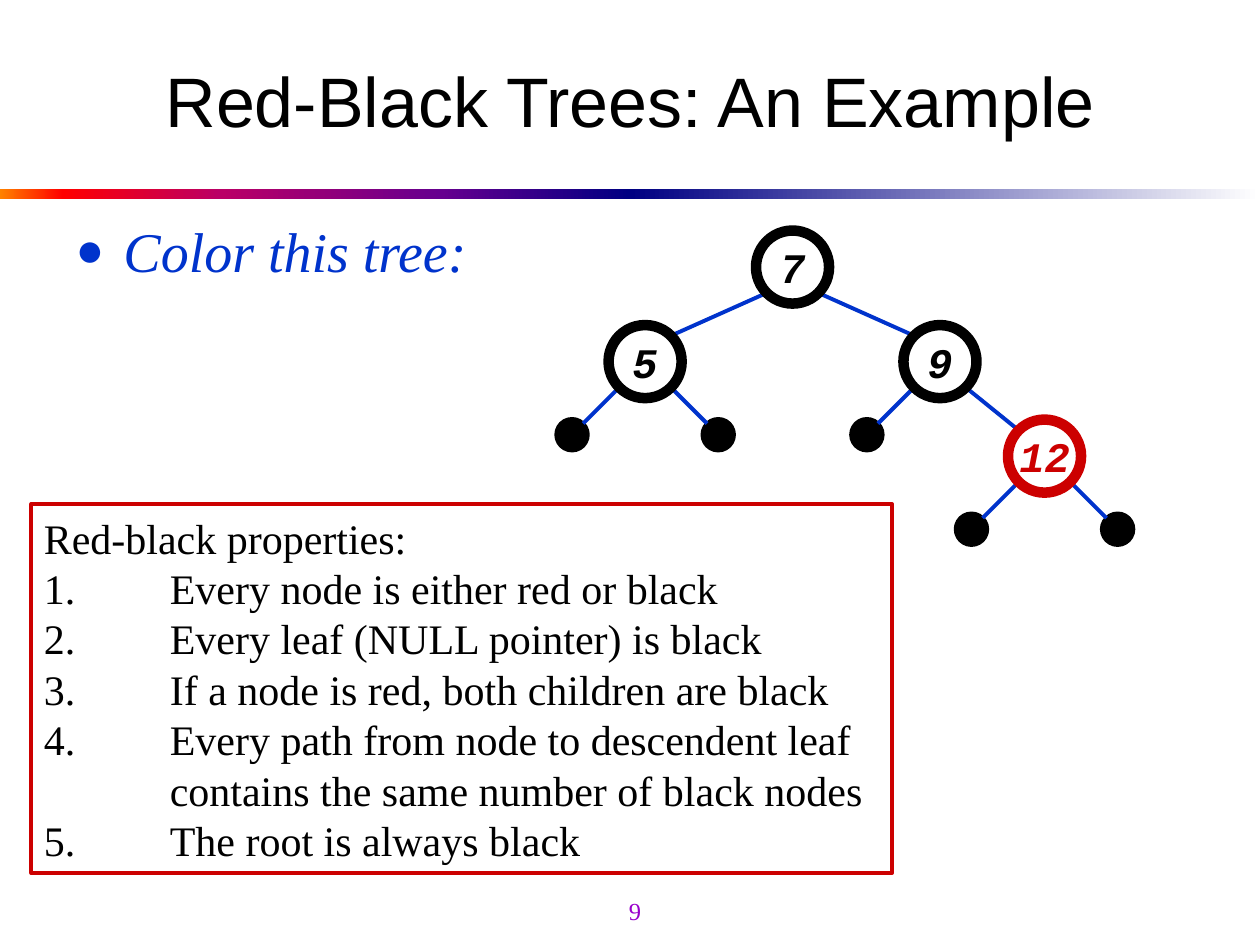
from math import sqrt

from lxml.etree import SubElement
from pptx import Presentation
from pptx.dml.color import RGBColor
from pptx.enum.shapes import MSO_CONNECTOR, MSO_SHAPE
from pptx.enum.text import MSO_ANCHOR, PP_ALIGN
from pptx.oxml.ns import qn
from pptx.util import Inches, Pt

BLACK = RGBColor(0x00, 0x00, 0x00)
WHITE = RGBColor(0xFF, 0xFF, 0xFF)
RED = RGBColor(0xCC, 0x00, 0x00)
BLUE = RGBColor(0x00, 0x33, 0xCC)
PURPLE = RGBColor(0x99, 0x00, 0xCC)
NAVY = RGBColor(0x00, 0x00, 0x82)
ORANGE = RGBColor(0xFF, 0x82, 0x00)
BRIGHT_RED = RGBColor(0xFF, 0x00, 0x00)
CRIMSON = RGBColor(0xBA, 0x00, 0x66)
VIOLET = RGBColor(0x66, 0x00, 0x8F)

SERIF = "Times New Roman"
NODE_SIZE = 0.58
LEAF_SIZE = 0.25
LEAF_OFFSET = 0.58

# key: (centre x and y within the tree's box, colour, left child, right child)
NODES = {
    "12": (3.87, 1.79, RED, None, None),
    "5": (0.7, 1.04, BLACK, None, None),
    "9": (3.04, 1.04, BLACK, None, "12"),
    "7": (1.87, 0.29, BLACK, "5", "9"),
}
PROPERTIES = [
    "Every node is either red or black",
    "Every leaf (NULL pointer) is black",
    "If a node is red, both children are black",
    "Every path from node to descendent leaf\vcontains the same number of black nodes",
    "The root is always black",
]


def place(shape, left, top, width, height):
    shape.left, shape.top = Inches(left), Inches(top)
    shape.width, shape.height = Inches(width), Inches(height)


def style_text(paragraph, font_name, size, color, bold=None, italic=None):
    for run in paragraph.runs:
        run.font.name = font_name
        run.font.size = Pt(size)
        run.font.color.rgb = color
        run.font.bold = bold
        run.font.italic = italic


def add_gradient_bar(slide, left, top, width, height, stops):
    """Draw a bar that fades left to right through (percent, colour) stops."""
    bar = slide.shapes.add_shape(
        MSO_SHAPE.RECTANGLE, Inches(left), Inches(top), Inches(width), Inches(height))
    bar.shadow.inherit = False
    bar.line.fill.background()
    bar.fill.gradient()
    bar.fill.gradient_angle = 0
    stop_list = bar._element.spPr.find(qn("a:gradFill")).find(qn("a:gsLst"))
    for old_stop in list(stop_list):
        stop_list.remove(old_stop)
    for percent, color in stops:
        stop = SubElement(stop_list, qn("a:gs"), pos=str(percent * 1000))
        SubElement(stop, qn("a:srgbClr"), val=str(color))


def add_divider(slide, left, top, width, height):
    half = width / 2
    add_gradient_bar(slide, left, top, half, height, [
        (0, ORANGE), (10, BRIGHT_RED), (35, CRIMSON), (70, VIOLET), (100, NAVY)])
    add_gradient_bar(slide, left + half, top, half, height, [(0, NAVY), (100, WHITE)])


def fill_title(slide, left, top, width, height):
    title = slide.shapes.title
    place(title, left, top, width, height)
    title.text_frame.text = "Red-Black Trees: An Example"
    title.text_frame.vertical_anchor = MSO_ANCHOR.MIDDLE
    heading = title.text_frame.paragraphs[0]
    heading.alignment = PP_ALIGN.CENTER
    style_text(heading, "Arial", 40, BLACK)


def fill_body(slide, left, top, width, height):
    body = slide.placeholders[1]
    place(body, left, top, width, height)
    body.text_frame.text = "Color this tree:"
    task = body.text_frame.paragraphs[0]
    props = task._p.get_or_add_pPr()
    props.set("marL", str(Inches(0.38)))
    props.set("indent", str(Inches(-0.38)))
    SubElement(SubElement(props, qn("a:buClr")), qn("a:srgbClr"), val=str(BLUE))
    SubElement(props, qn("a:buSzPct"), val="85000")
    SubElement(props, qn("a:buFont"), typeface=SERIF)
    SubElement(props, qn("a:buChar"), char="●")
    style_text(task, SERIF, 32, BLUE, italic=True)


def add_circle(slide, x, y, size, fill, outline, outline_width):
    circle = slide.shapes.add_shape(
        MSO_SHAPE.OVAL, Inches(x - size / 2), Inches(y - size / 2),
        Inches(size), Inches(size))
    circle.shadow.inherit = False
    circle.fill.solid()
    circle.fill.fore_color.rgb = fill
    circle.line.color.rgb = outline
    circle.line.width = Pt(outline_width)
    return circle


def add_edge(slide, parent, child, child_size, side):
    """Join the facing diagonal points of two circles; side is -1 left, 1 right."""
    start = NODE_SIZE / 2 / sqrt(2)
    end = child_size / 2 / sqrt(2)
    edge = slide.shapes.add_connector(
        MSO_CONNECTOR.STRAIGHT,
        Inches(parent[0] + side * start), Inches(parent[1] + start),
        Inches(child[0] - side * end), Inches(child[1] - end))
    edge.line.color.rgb = BLUE
    edge.line.width = Pt(2.25)
    SubElement(edge._element.spPr, qn("a:effectLst"))


def add_node(slide, key, center, color):
    node = add_circle(slide, *center, NODE_SIZE, WHITE, color, 6)
    frame = node.text_frame
    frame.word_wrap = False
    frame.vertical_anchor = MSO_ANCHOR.MIDDLE
    frame.text = key
    frame.paragraphs[0].alignment = PP_ALIGN.CENTER
    style_text(frame.paragraphs[0], "Courier New", 24, color, bold=True, italic=True)


def add_tree(slide, left, top):
    centers = {key: (left + node[0], top + node[1]) for key, node in NODES.items()}
    leaves, edges = [], []
    for key, (_, _, _, *children) in NODES.items():
        x, y = centers[key]
        for side, child in zip((-1, 1), children):
            if child:
                edges.append((centers[key], centers[child], NODE_SIZE, side))
            else:
                leaf = (x + side * LEAF_OFFSET, y + LEAF_OFFSET)
                leaves.append(leaf)
                edges.append((centers[key], leaf, LEAF_SIZE, side))
    for leaf in leaves:
        add_circle(slide, *leaf, LEAF_SIZE, BLACK, BLACK, 2.25)
    for edge in edges:
        add_edge(slide, *edge)
    for key, (_, _, color, *_) in NODES.items():
        add_node(slide, key, centers[key], color)


def add_properties(slide, left, top, width, height):
    panel = slide.shapes.add_shape(
        MSO_SHAPE.RECTANGLE, Inches(left), Inches(top), Inches(width), Inches(height))
    panel.shadow.inherit = False
    panel.fill.background()
    panel.line.color.rgb = RED
    panel.line.width = Pt(2.25)
    frame = panel.text_frame
    frame.word_wrap = True
    frame.vertical_anchor = MSO_ANCHOR.MIDDLE
    frame.text = "Red-black properties:"
    for number, rule in enumerate(PROPERTIES, start=1):
        item = frame.add_paragraph()
        item.text = f"{number}.\t{rule}"
        props = item._p.get_or_add_pPr()
        props.set("marL", str(Inches(1)))
        props.set("indent", str(Inches(-1)))
    for paragraph in frame.paragraphs:
        paragraph.alignment = PP_ALIGN.LEFT
        style_text(paragraph, SERIF, 24, BLACK)


def add_page_number(slide, left, top, width, height):
    number = slide.shapes.add_textbox(
        Inches(left), Inches(top), Inches(width), Inches(height))
    frame = number.text_frame
    frame.vertical_anchor = MSO_ANCHOR.MIDDLE
    frame.word_wrap = True
    frame.text = "9"
    frame.paragraphs[0].alignment = PP_ALIGN.CENTER
    style_text(frame.paragraphs[0], SERIF, 14, PURPLE)


def main():
    deck = Presentation()
    deck.slide_width, deck.slide_height = Inches(10), Inches(7.5)
    slide = deck.slides.add_slide(deck.slide_layouts[1])
    add_divider(slide, 0, 1.5, 10, 0.08)
    fill_title(slide, 0.5, 0.25, 9, 1.08)
    fill_body(slide, 0.5, 1.67, 9, 4.75)
    add_tree(slide, 4.42, 1.83)
    add_properties(slide, 0.25, 4, 6.83, 2.93)
    add_page_number(slide, 4, 6.98, 2.08, 0.5)
    deck.save("out.pptx")


if __name__ == "__main__":
    main()
